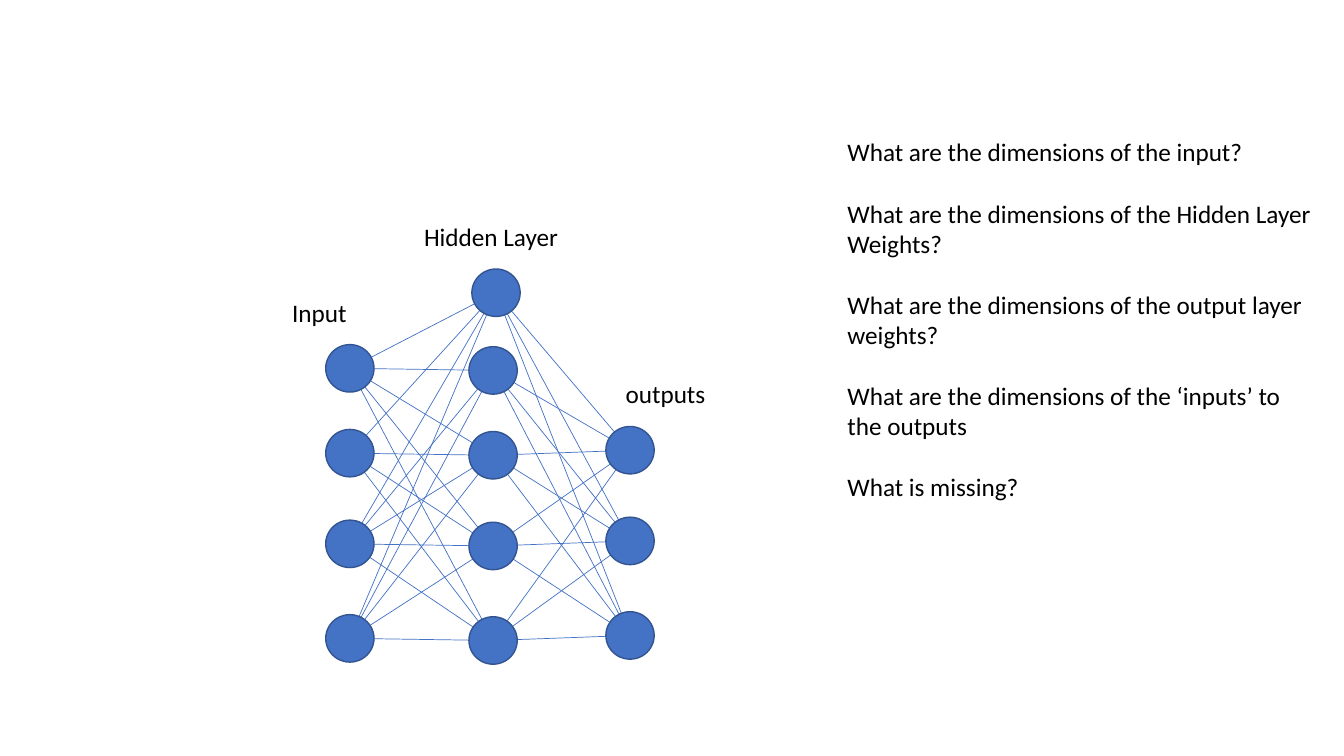
from itertools import product

from lxml.etree import SubElement
from pptx import Presentation
from pptx.dml.color import RGBColor
from pptx.enum.shapes import MSO_CONNECTOR, MSO_SHAPE
from pptx.oxml.ns import qn
from pptx.util import Inches, Pt


def tint(code):
    return RGBColor.from_string(code)


def apply(target, style):
    for name, value in style.items():
        setattr(target, name, value)


class Canvas:
    cols, rows = 32, 18
    fill = tint("4472C4")
    edge = tint("325491")
    ink = tint("000000")
    font = {"name": "Calibri", "size": Pt(18)}
    node_w, node_h = 1.15, 1.13

    def __init__(self, deck):
        self.slide = deck.slides.add_slide(deck.slide_layouts[6])
        self.col = deck.slide_width / self.cols
        self.row = deck.slide_height / self.rows

    def place(self, x, y):
        return round(x * self.col), round(y * self.row)

    def node(self, x, y):
        corner = self.place(x - self.node_w / 2, y - self.node_h / 2)
        size = self.place(self.node_w, self.node_h)
        dot = self.slide.shapes.add_shape(MSO_SHAPE.OVAL, *corner, *size)
        dot.shadow.inherit = False
        dot.fill.solid()
        dot.fill.fore_color.rgb = self.fill
        dot.line.color.rgb = self.edge
        dot.line.width = Pt(1)

    def link(self, start, end):
        line = self.slide.shapes.add_connector(
            MSO_CONNECTOR.STRAIGHT, *self.place(*start), *self.place(*end))
        line.line.color.rgb = self.fill
        line.line.width = Pt(0.5)
        SubElement(line._element.spPr, qn("a:effectLst"))

    def text(self, x, y, w, h, lines, wrap=False):
        box = self.slide.shapes.add_textbox(*self.place(x, y), *self.place(w, h))
        frame = box.text_frame
        frame.word_wrap = wrap
        frame.text = "\n".join(lines)
        for para in frame.paragraphs:
            apply(para.font, self.font)
            para.font.color.rgb = self.ink
        for para in frame.paragraphs[:-1]:
            para.space_after = Pt(22)


deck = Presentation()
apply(deck, {"slide_width": Inches(13.33), "slide_height": Inches(7.5)})
page = Canvas(deck)

levels = [6.97, 8.82, 10.84, 13, 15.25]
inputs = [(8.33, y - 0.05) for y in levels[1:]]
hidden = [(11.81, levels[0])] + [(11.74, y) for y in levels[1:]]
outputs = [(15, y - 0.12) for y in levels[2:]]

unlinked = (inputs[1], hidden[1])
for left, right in ((inputs, hidden), (hidden, outputs)):
    for pair in product(left, right):
        if pair != unlinked:
            page.link(*pair)

for spot in inputs + hidden + outputs:
    page.node(*spot)

labels = [
    (6.72, 6.96, 1.8, "Input"),
    (9.86, 5.16, 3.72, "Hidden Layer"),
    (14.66, 8.88, 2.4, "outputs"),
]
for x, y, width, label in labels:
    page.text(x, y, width, 0.96, [label])

asks = [
    "What are the dimensions of the input?",
    "What are the dimensions of the Hidden Layer Weights?",
    "What are the dimensions of the output layer weights?",
    "What are the dimensions of the ‘inputs’ to the outputs",
    "What is missing?",
]
page.text(19.94, 3.14, 11.66, 8.98, asks, wrap=True)

deck.save("out.pptx")
